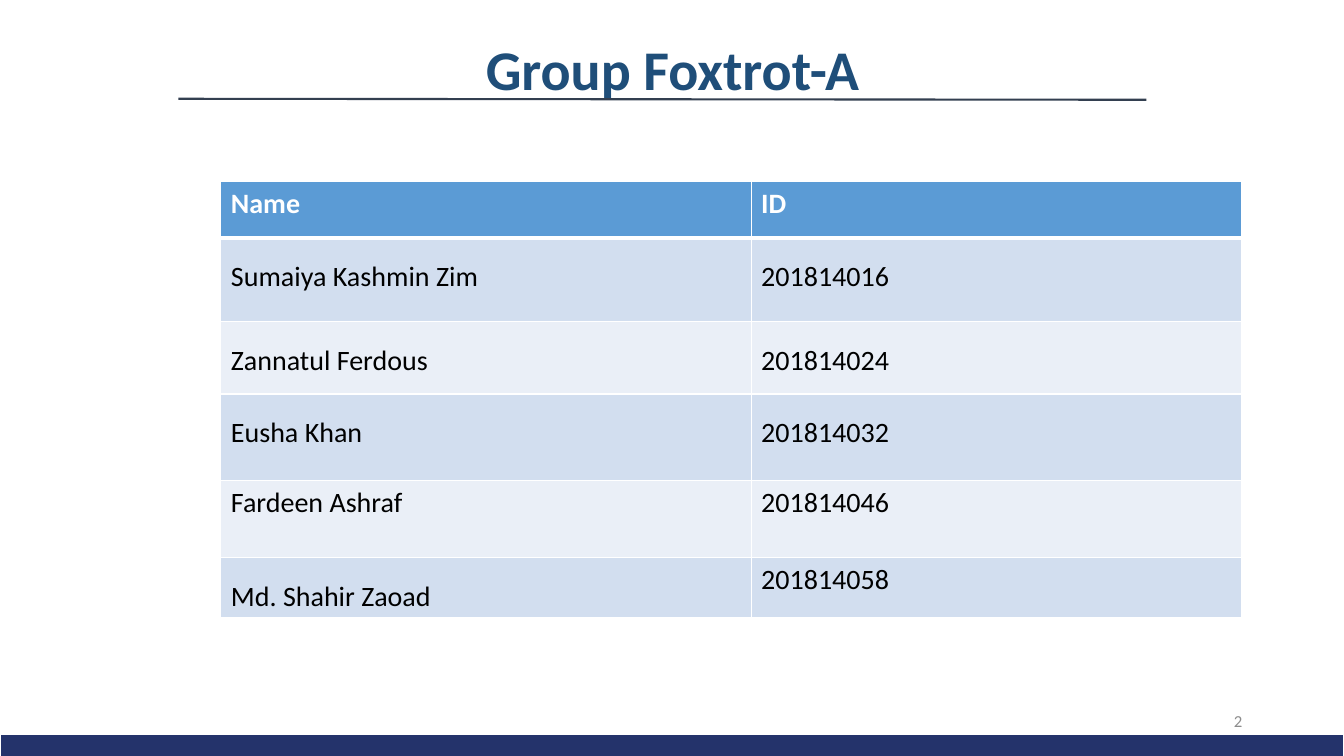
from lxml import etree
from pptx import Presentation
from pptx import util as u
from pptx.dml.color import RGBColor
from pptx.enum import shapes, text
from pptx.oxml import ns

PX = 9144  # EMU per px, 100 px to the inch
ALIGN = {"l": text.PP_ALIGN.LEFT, "c": text.PP_ALIGN.CENTER, "r": text.PP_ALIGN.RIGHT}


def px(n):
    return u.Emu(n * PX)


def rgb(value):
    return RGBColor.from_string(value)


def put_text(tf, content, size=20, color="000000", bold=False, align="l", spacing=1.0):
    p = tf.paragraphs[0]
    p.alignment = ALIGN[align]
    p.line_spacing = spacing
    r = p.add_run()
    r.text = content
    r.font.name = "Calibri"
    r.font.size = u.Pt(size)
    r.font.bold = bold
    r.font.color.rgb = rgb(color)


class Slide:
    HEADER = "5B9BD5"
    BANDS = ("D2DEEF", "EAEFF7")

    def __init__(self, prs):
        self.s = prs.slides.add_slide(prs.slide_layouts[6])

    def label(self, x, y, w, h, content, **fmt):
        tf = self.s.shapes.add_textbox(px(x), px(y), px(w), px(h)).text_frame
        tf.word_wrap = True
        tf.vertical_anchor = text.MSO_ANCHOR.MIDDLE
        put_text(tf, content, **fmt)

    def bar(self, x, y, w, h, fill, line, width):
        sp = self.s.shapes.add_shape(
            shapes.MSO_SHAPE.RECTANGLE, px(x), px(y), px(w), px(h))
        sp.shadow.inherit = False
        sp.fill.solid()
        sp.fill.fore_color.rgb = rgb(fill)
        sp.line.color.rgb = rgb(line)
        sp.line.width = u.Pt(width)

    def rule(self, x1, y1, x2, y2, color, width):
        c = self.s.shapes.add_connector(
            shapes.MSO_CONNECTOR.STRAIGHT, px(x1), px(y1), px(x2), px(y2))
        c.line.color.rgb = rgb(color)
        c.line.width = u.Pt(width)
        etree.SubElement(c._element.spPr, ns.qn("a:effectLst"))

    def borders(self, cell, top, bottom):
        tc_pr = cell._tc.get_or_add_tcPr()
        for side, width in (("L", 1), ("R", 1), ("T", top), ("B", bottom)):
            ln = etree.SubElement(tc_pr, ns.qn("a:ln" + side), w=str(u.Pt(width)))
            fill = etree.SubElement(ln, ns.qn("a:solidFill"))
            etree.SubElement(fill, ns.qn("a:srgbClr"), val="FFFFFF")

    def table(self, x, y, cols, heights, rows):
        """Each row is a list of (content, line spacing) pairs."""
        tbl = self.s.shapes.add_table(
            len(rows), len(cols), px(x), px(y), px(sum(cols)), px(sum(heights))).table
        for column, w in zip(tbl.columns, cols):
            column.width = px(w)
        for i, (row, h) in enumerate(zip(rows, heights)):
            tbl.rows[i].height = px(h)
            head = i == 0
            for j, (content, spacing) in enumerate(row):
                cell = tbl.cell(i, j)
                self.borders(cell, top=3 if i == 1 else 1, bottom=3 if head else 1)
                cell.fill.solid()
                cell.fill.fore_color.rgb = rgb(
                    self.HEADER if head else self.BANDS[(i - 1) % 2])
                put_text(cell.text_frame, content, bold=head, spacing=spacing,
                         color="FFFFFF" if head else "000000")


def main():
    prs = Presentation()
    prs.slide_width, prs.slide_height = px(1333), px(750)
    s = Slide(prs)

    # Title and its rule
    s.label(92, 17, 1150, 110, "Group Foxtrot-A",
            size=40, color="1F4E79", bold=True, align="c", spacing=0.9)
    s.rule(177, 98, 1137, 99, "333F50", 1.5)

    # Slide number and footer bar
    s.label(942, 695, 300, 40, "2", size=12, color="8C8C8C", align="r")
    s.bar(0, 728, 1333, 29, "24336B", "FFFFFF", 1)

    # Group members
    s.table(219, 180, [526, 486], [56, 83, 72, 86, 76, 60], [
        [("Name", 1.0), ("ID", 1.0)],
        [("Sumaiya Kashmin Zim", 1.5), ("201814016", 1.5)],
        [("Zannatul Ferdous", 1.5), ("201814024", 1.5)],
        [("Eusha Khan", 1.5), ("201814032", 1.5)],
        [("Fardeen Ashraf", 1.0), ("201814046", 1.0)],
        [("Md. Shahir Zaoad", 1.5), ("201814058", 1.0)],
    ])

    prs.save("out.pptx")


if __name__ == "__main__":
    main()
